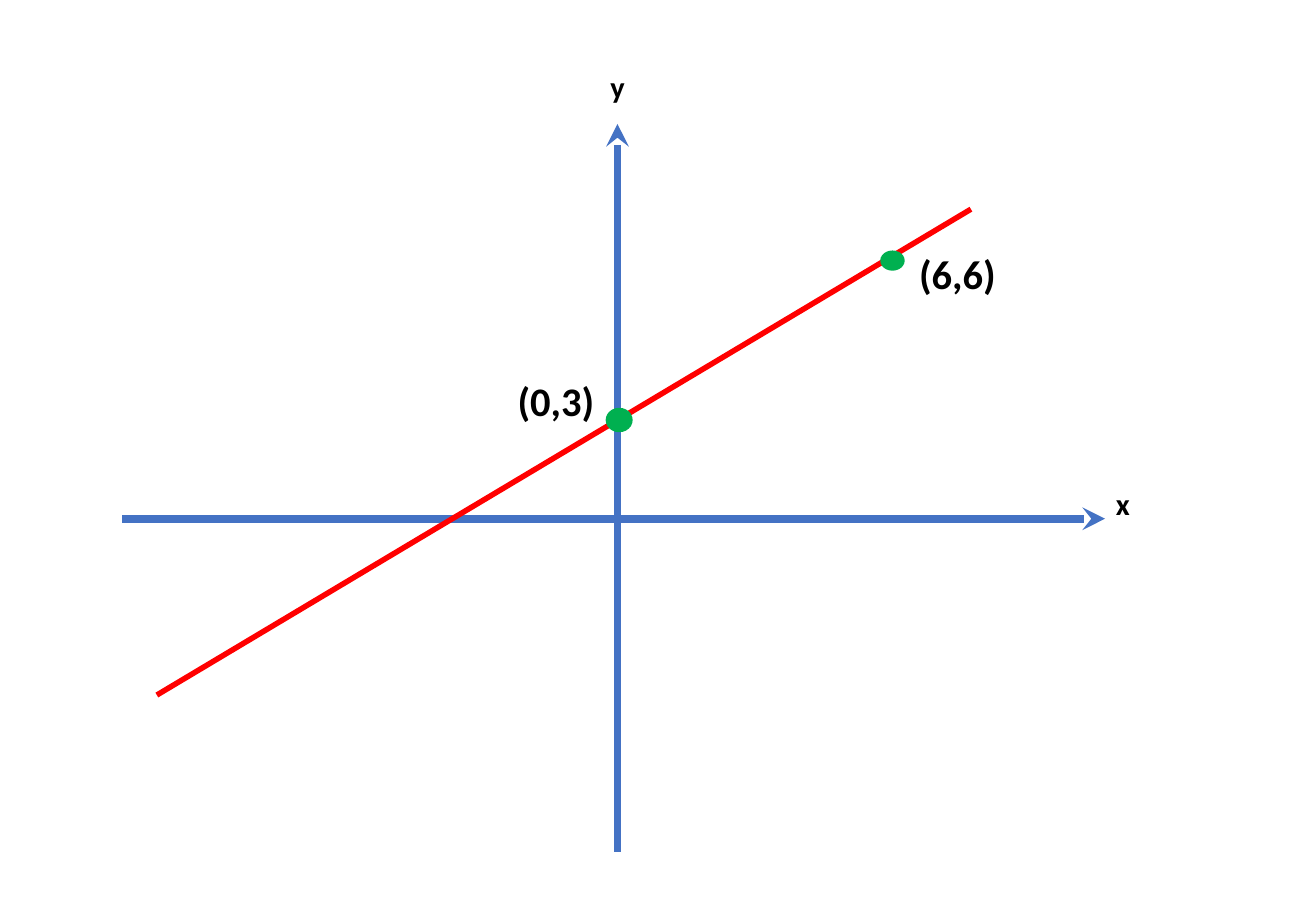
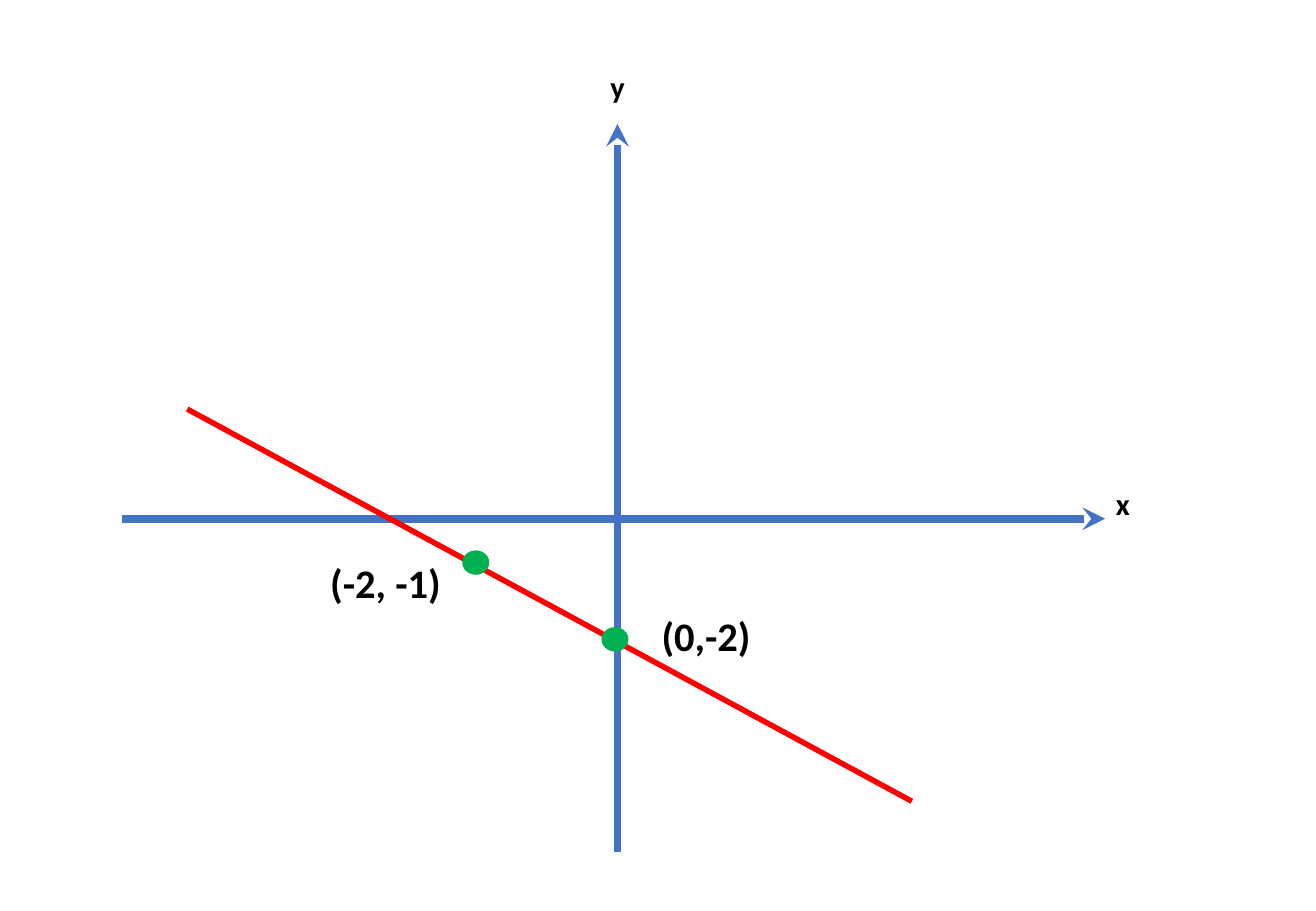
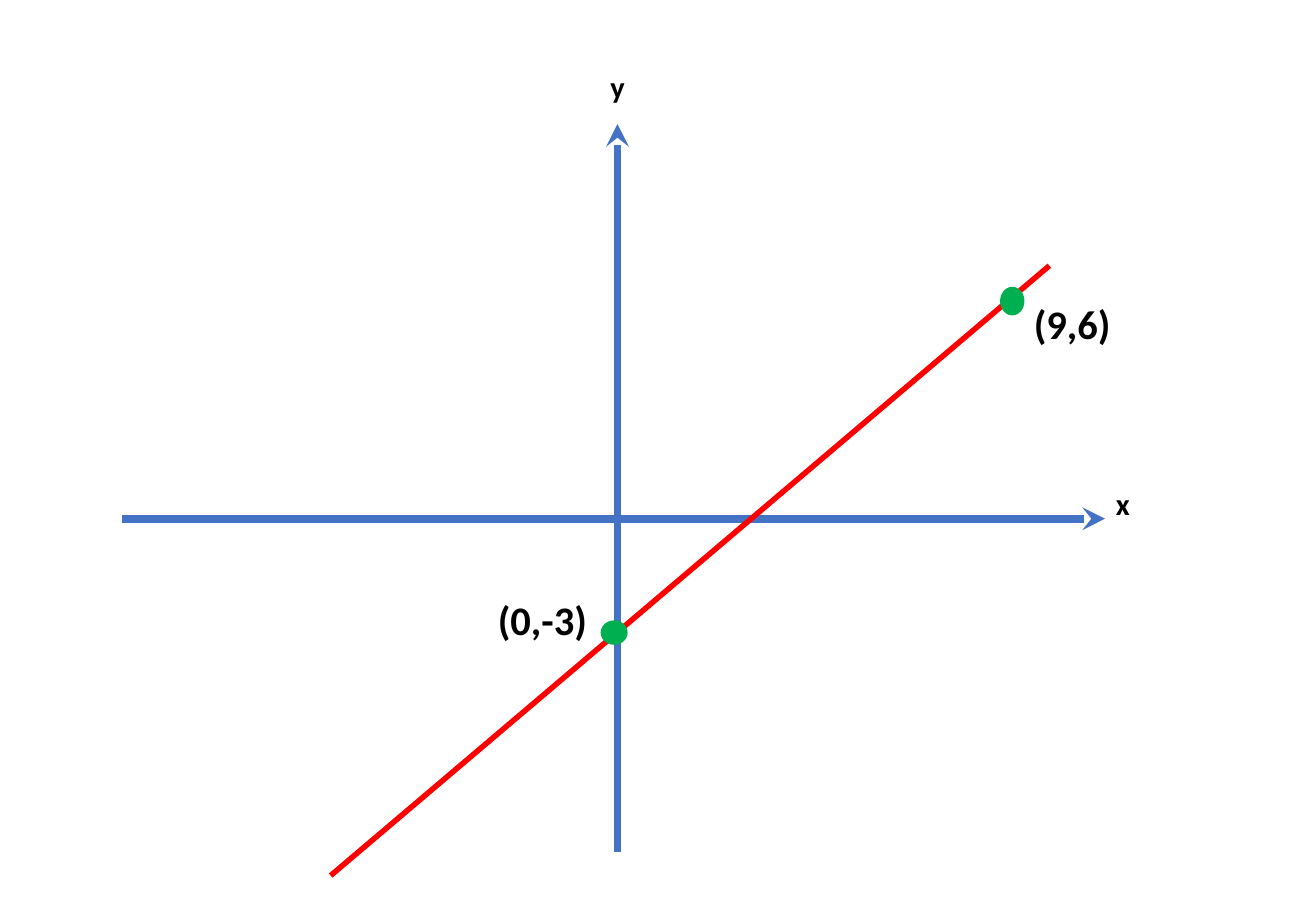
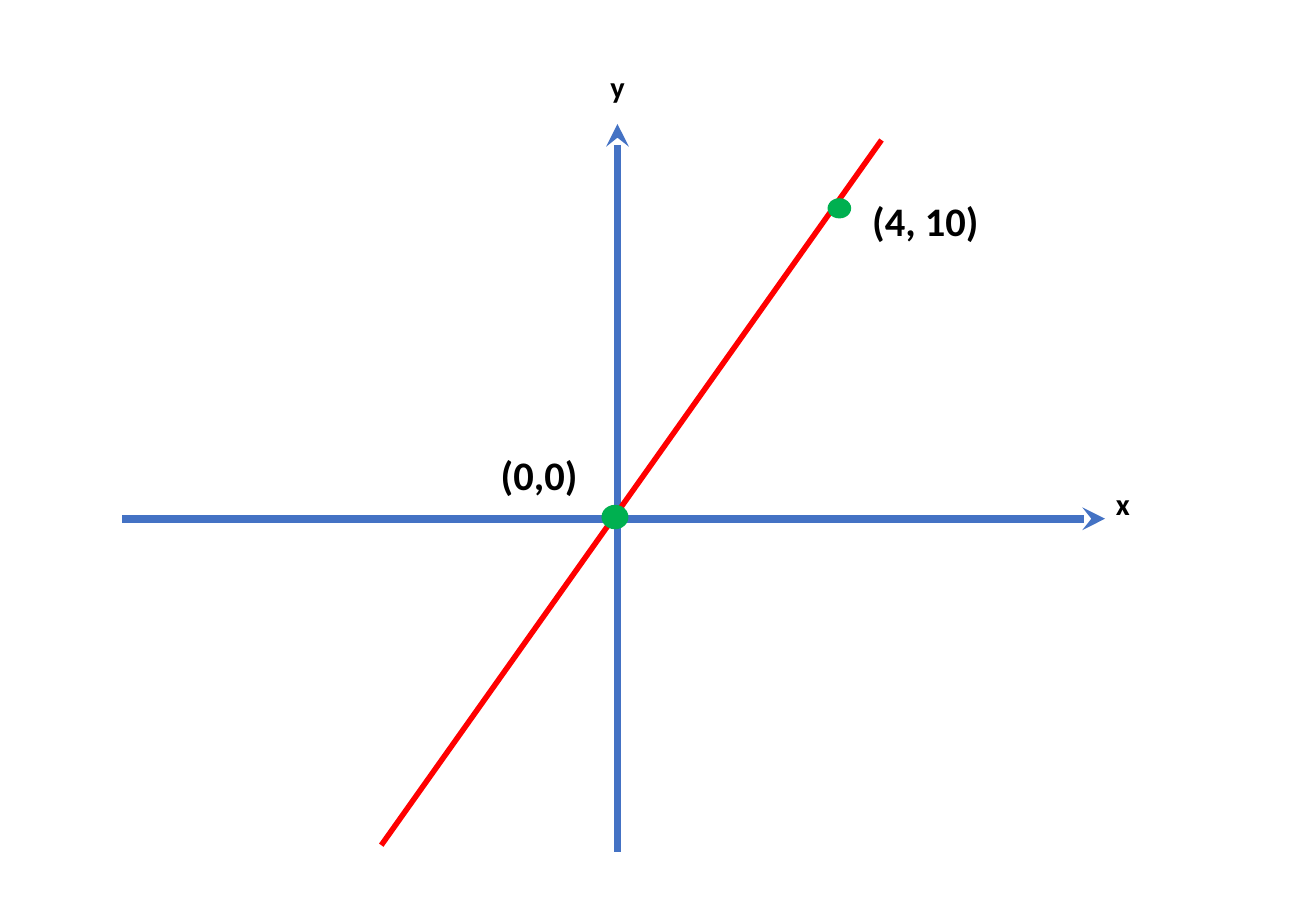
import collections
import dataclasses

import lxml.etree
import pptx
import pptx.dml.color
import pptx.enum.shapes
import pptx.enum.text
import pptx.oxml.ns
import pptx.util

Pt = pptx.util.Pt
Box = collections.namedtuple("Box", "left top width height")
Spot = collections.namedtuple("Spot", "right down")
Point = collections.namedtuple("Point", "text centre label size", defaults=[(15, 13.5)])
Graph = collections.namedtuple("Graph", "start end points")


@dataclasses.dataclass(frozen=True)
class Theme:
    """Colours, type sizes and line widths of the deck."""
    axis: str = "4472C4"
    graph: str = "FF0000"
    point: str = "00B050"
    ink: str = "000000"
    font: str = "Calibri"
    axis_text: float = 18
    point_text: float = 24
    axis_width: float = 4.5
    graph_width: float = 3.25
    point_width: float = 1


THEME = Theme()
PAGE_SIZE = (780, 540)
PLOT = Box(72.5, 73.5, 582.5, 431.5)
CROSSING = Spot(293.5, 234)
AXIS_LABEL = (52.5, 43)
POINT_LABEL = (90, 36)

GRAPHS = [
    Graph((-273, 104.5), (209.5, -183.5), [
        Point("(0,3)", (1, -58.5), (-36.5, -70)),
        Point("(6,6)", (163, -153), (201.5, -145.5), (13.5, 11)),
    ]),
    Graph((-255, -65), (174.5, 167.5), [
        Point("(0,-2)", (-1.5, 71.5), (52.5, 69)),
        Point("(-2, -1)", (-84, 26), (-137.5, 37.5)),
    ]),
    Graph((-170, 211.5), (256, -150), [
        Point("(0,-3)", (-2, 67.5), (-44.5, 59.5)),
        Point("(9,6)", (234, -129), (269.5, -115.5), (13.5, 16)),
    ]),
    Graph((-140, 193.5), (156.5, -224.5), [
        Point("(0,0)", (-1.5, -1), (-46.5, -26)),
        Point("(4, 10)", (131.5, -184), (182.5, -177), (13, 11)),
    ]),
]


def colour(value):
    """Return an RGB colour from its hex value."""
    return pptx.dml.color.RGBColor.from_string(value)


def from_crossing(box, offset):
    """Return the page position of an offset from the crossing of the axes."""
    return Spot(box.left + CROSSING.right + offset[0], box.top + CROSSING.down + offset[1])


def centred(spot, size):
    """Return left, top, width and height of an area centred on a spot."""
    width, height = size
    return [Pt(value) for value in (spot.right - width / 2, spot.down - height / 2, width, height)]


def add_line(page, start, end, line_colour, width, arrow=False):
    """Draw a straight line, with an arrowhead at its end if asked."""
    kind = pptx.enum.shapes.MSO_CONNECTOR.STRAIGHT
    line = page.shapes.add_connector(kind, *[Pt(value) for value in (*start, *end)])
    line.line.color.rgb = colour(line_colour)
    line.line.width = Pt(width)
    properties = line.element.spPr
    if arrow:
        outline = line.line._get_or_add_ln()
        lxml.etree.SubElement(outline, pptx.oxml.ns.qn("a:tailEnd"), type="stealth")
    lxml.etree.SubElement(properties, pptx.oxml.ns.qn("a:effectLst"))


def add_label(page, text, spot, area, size):
    """Write a bold centred label in an area around a spot."""
    box = page.shapes.add_textbox(*centred(spot, area))
    box.text_frame.word_wrap = True
    para = box.text_frame.paragraphs[0]
    para.alignment = pptx.enum.text.PP_ALIGN.CENTER
    span = para.add_run()
    span.text = text
    span.font.color.rgb = colour(THEME.ink)
    for name, value in {"name": THEME.font, "size": Pt(size), "bold": True}.items():
        setattr(span.font, name, value)


def add_axes(page, box):
    """Draw the two axes across the box, with their letters beyond the arrows."""
    middle = from_crossing(box, (0, 0))
    right, bottom = box.left + box.width, box.top + box.height
    axes = [
        ("y", Spot(middle.right, bottom), Spot(middle.right, box.top), (0, -15)),
        ("x", Spot(box.left, middle.down), Spot(right, middle.down), (10.5, -2)),
    ]
    for letter, start, end, gap in axes:
        add_line(page, start, end, THEME.axis, THEME.axis_width, arrow=True)
        spot = Spot(end.right + gap[0], end.down + gap[1])
        add_label(page, letter, spot, AXIS_LABEL, THEME.axis_text)


def add_point(page, box, point):
    """Draw a point of the graph and its coordinates."""
    area = centred(from_crossing(box, point.centre), point.size)
    dot = page.shapes.add_shape(pptx.enum.shapes.MSO_SHAPE.OVAL, *area)
    dot.shadow.inherit = False
    dot.fill.solid()
    dot.fill.fore_color.rgb = colour(THEME.point)
    dot.line.color.rgb = colour(THEME.point)
    dot.line.width = Pt(THEME.point_width)
    add_label(page, point.text, from_crossing(box, point.label), POINT_LABEL, THEME.point_text)


def add_graph(page, box, graph):
    """Draw the axes, the straight graph and its points in the box."""
    add_axes(page, box)
    ends = [from_crossing(box, offset) for offset in (graph.start, graph.end)]
    add_line(page, *ends, THEME.graph, THEME.graph_width)
    for point in graph.points:
        add_point(page, box, point)


def main():
    """Build the deck and save it."""
    deck = pptx.Presentation()
    deck.slide_width, deck.slide_height = [Pt(value) for value in PAGE_SIZE]
    for graph in GRAPHS:
        page = deck.slides.add_slide(deck.slide_layouts[6])
        add_graph(page, PLOT, graph)
    deck.save("out.pptx")


if __name__ == "__main__":
    main()
